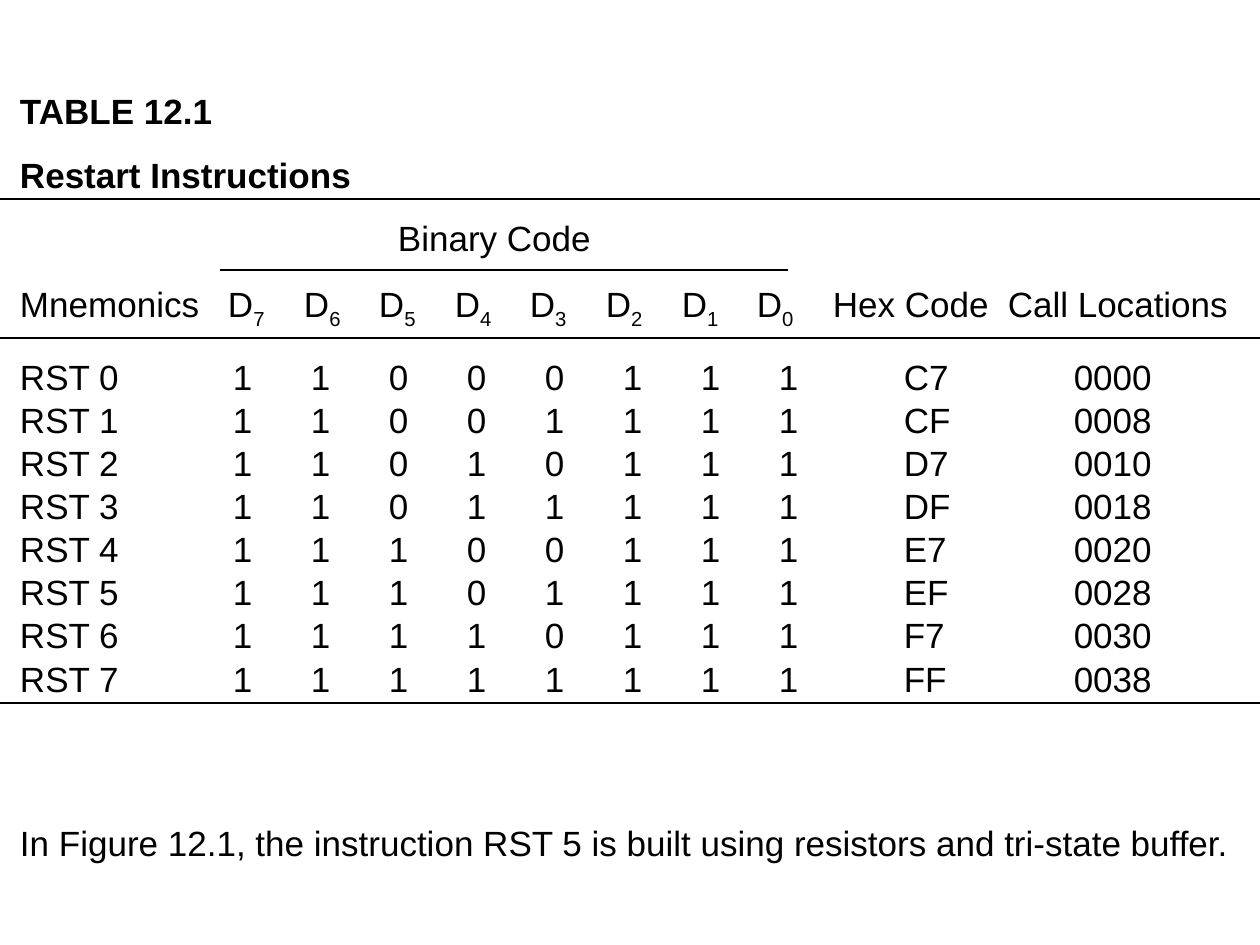
from lxml import etree
from pptx import Presentation
from pptx.dml.color import RGBColor
from pptx.enum.shapes import MSO_CONNECTOR
from pptx.enum.text import MSO_ANCHOR
from pptx.oxml.ns import qn
from pptx.util import Pt

PX = 914400 // 126
STRAIGHT = MSO_CONNECTOR.STRAIGHT
TOP = MSO_ANCHOR.TOP
COLORS = {"ink": "000000"}
INK = RGBColor.from_string(COLORS["ink"])


def write(paragraph, text, size=20, bold=False, subscript="", before=0):
    paragraph.space_before = Pt(before)
    for part in filter(None, (text, subscript)):
        run = paragraph.add_run()
        run.text = part
        run.font.name = "Arial"
        run.font.size = Pt(size)
        run.font.bold = bold
        run.font.color.rgb = INK
        if part is subscript:
            run._r.get_or_add_rPr().set("baseline", "-25000")


def fill_cell(cell, text, left, top, **style):
    cell.margin_left, cell.margin_top = left * PX, top * PX
    cell.margin_right = cell.margin_bottom = 0
    cell.vertical_anchor = TOP
    write(cell.text_frame.paragraphs[0], text, **style)


prs = Presentation()
prs.slide_width, prs.slide_height = 1260 * PX, 945 * PX
slide = prs.slides.add_slide(prs.slide_layouts[6])

# Heading above the table and remark below it
heading = ["TABLE 12.1", "Restart Instructions"]
remark = ["In Figure 12.1, the instruction RST 5 is built using resistors and tri-state buffer."]
for lines, top, height, bold in ((heading, 89, 108, True), (remark, 821, 42, False)):
    frame = slide.shapes.add_textbox(20 * PX, top * PX, 1230 * PX, height * PX).text_frame
    frame.word_wrap = True
    frame.margin_left = frame.margin_right = frame.margin_top = frame.margin_bottom = 0
    for i, line in enumerate(lines):
        paragraph = frame.add_paragraph() if i else frame.paragraphs[0]
        write(paragraph, line, bold=bold, before=13 if i else 0)

# Table grid: mnemonic, eight bits, hex code, call location
col_widths = [204] + [78] * 8 + [175, 257]
row_heights = [71, 88] + [42] * 8
table = slide.shapes.add_table(
    len(row_heights), len(col_widths), 0, 199 * PX,
    sum(col_widths) * PX, sum(row_heights) * PX).table
table.first_row = table.horz_banding = False
for column, width in zip(table.columns, col_widths):
    column.width = width * PX
for row, height in zip(table.rows, row_heights):
    row.height = height * PX
for cell in table.iter_cells():
    cell.fill.background()

# Header rows
table.cell(0, 1).merge(table.cell(0, 8))
fill_cell(table.cell(0, 1), "Binary Code", 194, 21)
for col, label, left in ((0, "Mnemonics", 20), (9, "Hex Code", 5), (10, "Call Locations", 5)):
    fill_cell(table.cell(1, col), label, left, 16)
for k in range(8):
    fill_cell(table.cell(1, 1 + k), "D", round(24 - 2.4 * k), 16, subscript=str(7 - k))

# Instruction rows: RST n has opcode 11nnn111 and calls address 8n
data_lefts = [20] + [29] * 8 + [76, 71]
for n in range(8):
    opcode = 0xC7 + 8 * n
    values = [f"RST {n}", *f"{opcode:08b}", f"{opcode:02X}", f"{8 * n:04X}"]
    for col, (value, left) in enumerate(zip(values, data_lefts)):
        fill_cell(table.cell(2 + n, col), value, left, 1)

# Horizontal rules
for x1, x2, y in ((0, 1260, 338), (0, 1260, 199), (0, 1260, 703), (220, 788, 270)):
    rule = slide.shapes.add_connector(STRAIGHT, x1 * PX, y * PX, x2 * PX, y * PX)
    rule.line.color.rgb = INK
    rule.line.width = Pt(0.75)
    etree.SubElement(rule._element.spPr, qn("a:effectLst"))

prs.save("out.pptx")
